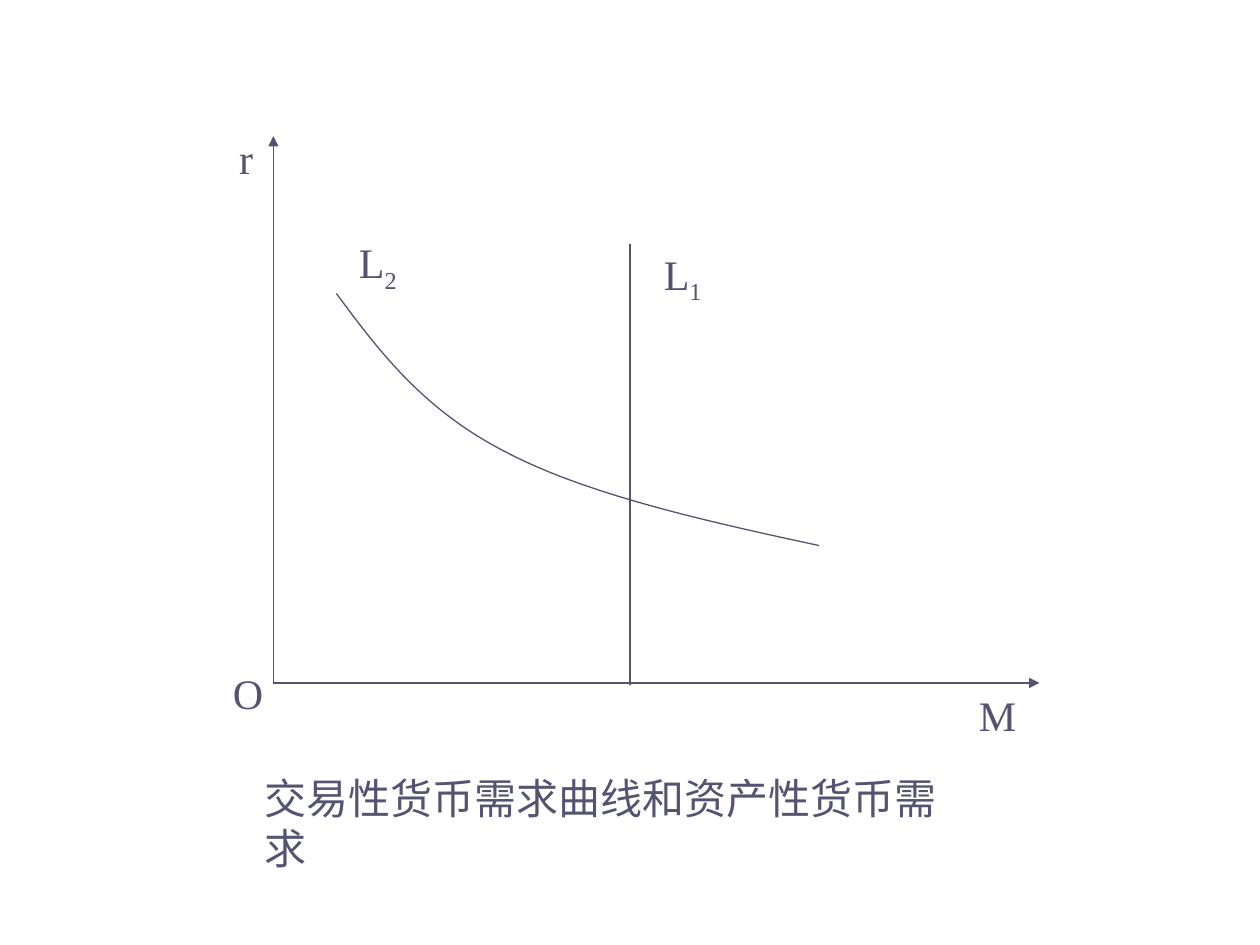
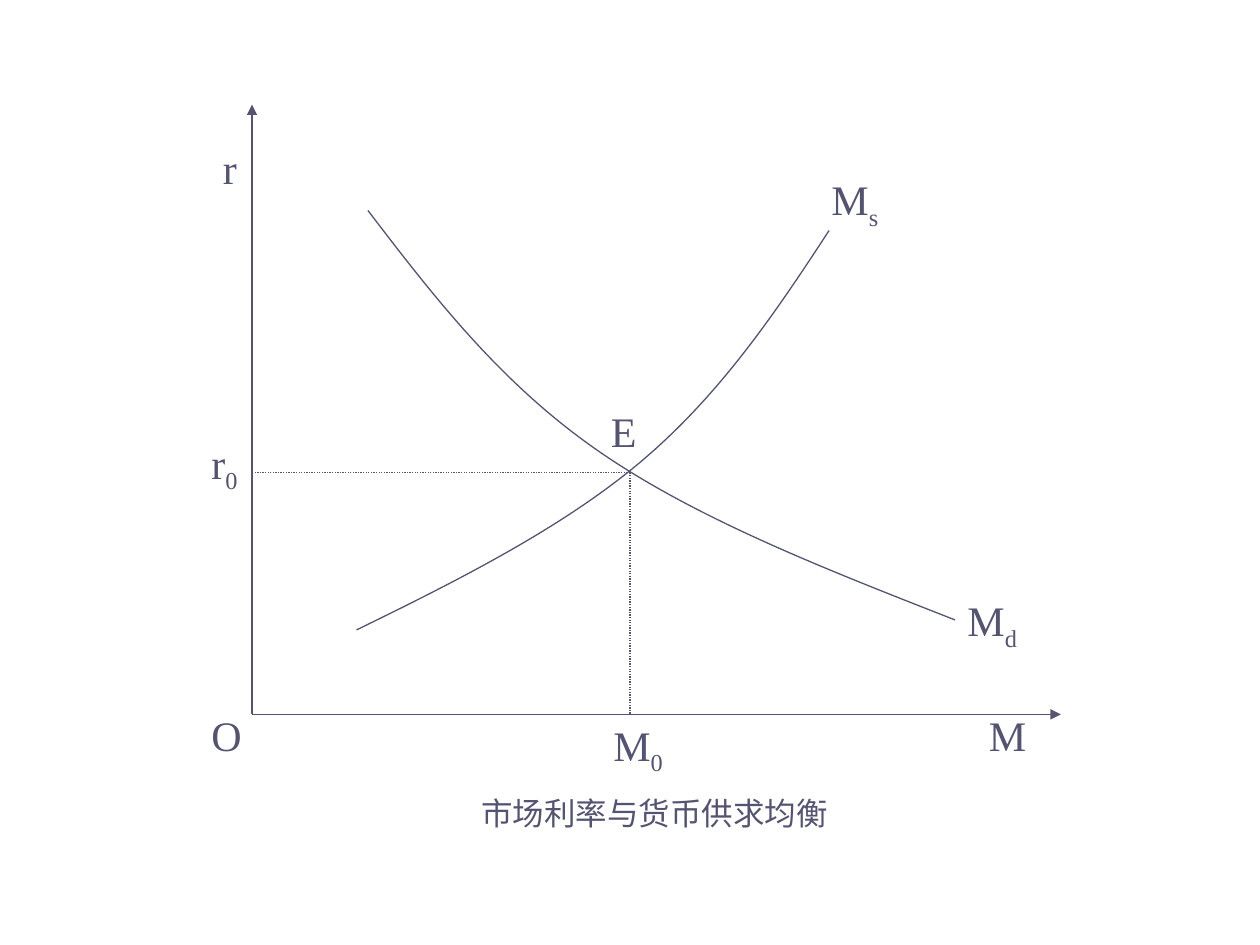
from dataclasses import dataclass

from lxml import etree
from pptx import Presentation
from pptx.dml.color import RGBColor
from pptx.enum.dml import MSO_LINE
from pptx.enum.shapes import MSO_CONNECTOR
from pptx.enum.text import MSO_AUTO_SIZE
from pptx.oxml.ns import qn
from pptx.util import Inches, Pt

INK = RGBColor(0x54, 0x54, 0x72)
FONT = "Times New Roman"


@dataclass
class Plot:
    """Axis box in inches; offsets run from its top left corner."""
    left: float
    top: float
    width: float
    height: float

    def at(self, dx, dy):
        return Inches(self.left + dx), Inches(self.top + dy)


def style_line(line):
    line.color.rgb = INK
    line.width = Pt(0.75)


def add_line(shapes, plot, start, end, arrow=False, dotted=False):
    c = shapes.add_connector(MSO_CONNECTOR.STRAIGHT, *plot.at(*start), *plot.at(*end))
    style_line(c.line)
    if dotted:
        c.line.dash_style = MSO_LINE.ROUND_DOT
    if arrow:
        etree.SubElement(c.line._get_or_add_ln(), qn("a:tailEnd"), type="triangle")
    etree.SubElement(c._element.spPr, qn("a:effectLst"))


def add_curve(shapes, plot, points):
    """Draw a Bezier curve: a start point, then triples of control points."""
    start, *rest = [plot.at(*point) for point in points]
    builder = shapes.build_freeform(*start)
    builder.add_line_segments(rest, close=False)
    sp = builder.convert_to_shape()
    sp.shadow.inherit = False
    sp.fill.background()
    style_line(sp.line)

    # Turn each three straight segments into one cubic segment
    segments = list(sp._element.iter(qn("a:lnTo")))
    for i in range(0, len(segments), 3):
        cubic = etree.Element(qn("a:cubicBezTo"))
        segments[i].addprevious(cubic)
        for segment in segments[i:i + 3]:
            cubic.append(segment[0])
            segment.getparent().remove(segment)


def add_label(shapes, plot, pos, text, sub="", width=0.67, height=None, size=24, wrap=True):
    height = height or (0.56 if sub else 0.5)
    tb = shapes.add_textbox(*plot.at(*pos), Inches(width), Inches(height))
    tf = tb.text_frame
    tf.word_wrap = wrap
    tf.auto_size = MSO_AUTO_SIZE.SHAPE_TO_FIT_TEXT
    p = tf.paragraphs[0]
    p.add_run().text = text
    if sub:
        r = p.add_run()
        r.text = sub
        r._r.get_or_add_rPr().set("baseline", "-25000")
    p.font.name = FONT
    p.font.size = Pt(size)
    p.font.color.rgb = INK


def add_axes(s, plot, origin_pos):
    shapes = s.shapes.add_group_shape().shapes
    corner = (0, plot.height)
    for tip in ((0, 0), (plot.width, plot.height)):
        add_line(shapes, plot, corner, tip, arrow=True)
    add_label(shapes, plot, origin_pos, "O")


def demand_slide(s, plot):
    shapes = s.shapes
    add_axes(s, plot, (-0.42, 4.17))
    add_label(shapes, plot, (-0.37, -0.08), "r", width=0.36)
    add_label(shapes, plot, (5.5, 4.34), "M", width=0.58)

    # Transaction demand
    add_line(shapes, plot, (2.83, 0.86), (2.83, 4.36))
    add_label(shapes, plot, (3, 0.84), "L", "1", width=0.83)

    # Asset demand
    add_curve(shapes, plot, [(0.5, 1.25), (0.84, 1.71), (1.19, 2.17), (1.83, 2.5),
                             (2.47, 2.84), (3.4, 3.05), (4.33, 3.25)])
    add_label(shapes, plot, (0.58, 0.75), "L", "2", width=0.75)

    add_label(shapes, plot, (-0.17, 5), "交易性货币需求曲线和资产性货币需求",
              width=5.86, wrap=False)


def equilibrium_slide(s, plot):
    shapes = s.shapes
    add_axes(s, plot, (-0.42, 4.75))
    add_label(shapes, plot, (-0.33, 0.25), "r")
    add_label(shapes, plot, (5.75, 4.75), "M", width=0.75)

    # Money supply
    add_curve(shapes, plot, [(0.83, 4.17), (1.65, 3.77), (2.46, 3.36), (3.08, 2.84),
                             (3.71, 2.31), (4.15, 1.66), (4.58, 1)])
    add_label(shapes, plot, (4.5, 0.5), "M", "s", width=1.08)

    # Money demand
    add_curve(shapes, plot, [(0.92, 0.84), (1.44, 1.52), (1.97, 2.21), (2.75, 2.75),
                             (3.53, 3.29), (4.56, 3.69), (5.58, 4.09)])
    add_label(shapes, plot, (5.58, 3.84), "M", "d", width=0.83)

    # Equilibrium point and its projections on the axes
    x, y = equilibrium = (3, 2.92)
    add_label(shapes, plot, (2.75, 2.34), "E", width=0.58)
    add_line(shapes, plot, equilibrium, (x, plot.height), dotted=True)
    add_label(shapes, plot, (2.77, 4.83), "M", "0")
    add_line(shapes, plot, equilibrium, (0, y), dotted=True)
    add_label(shapes, plot, (-0.42, 2.59), "r", "0")

    add_label(shapes, plot, (1.72, 5.42), "市场利率与货币供求均衡",
              width=2.95, height=0.4, size=18)


def main():
    prs = Presentation()
    prs.slide_width, prs.slide_height = Inches(10), Inches(7.5)
    blank = prs.slide_layouts[6]
    demand_slide(prs.slides.add_slide(blank), Plot(2.17, 1.08, 6.08, 4.34))
    equilibrium_slide(prs.slides.add_slide(blank), Plot(2, 0.83, 6.42, 4.84))
    prs.save("out.pptx")


if __name__ == "__main__":
    main()
